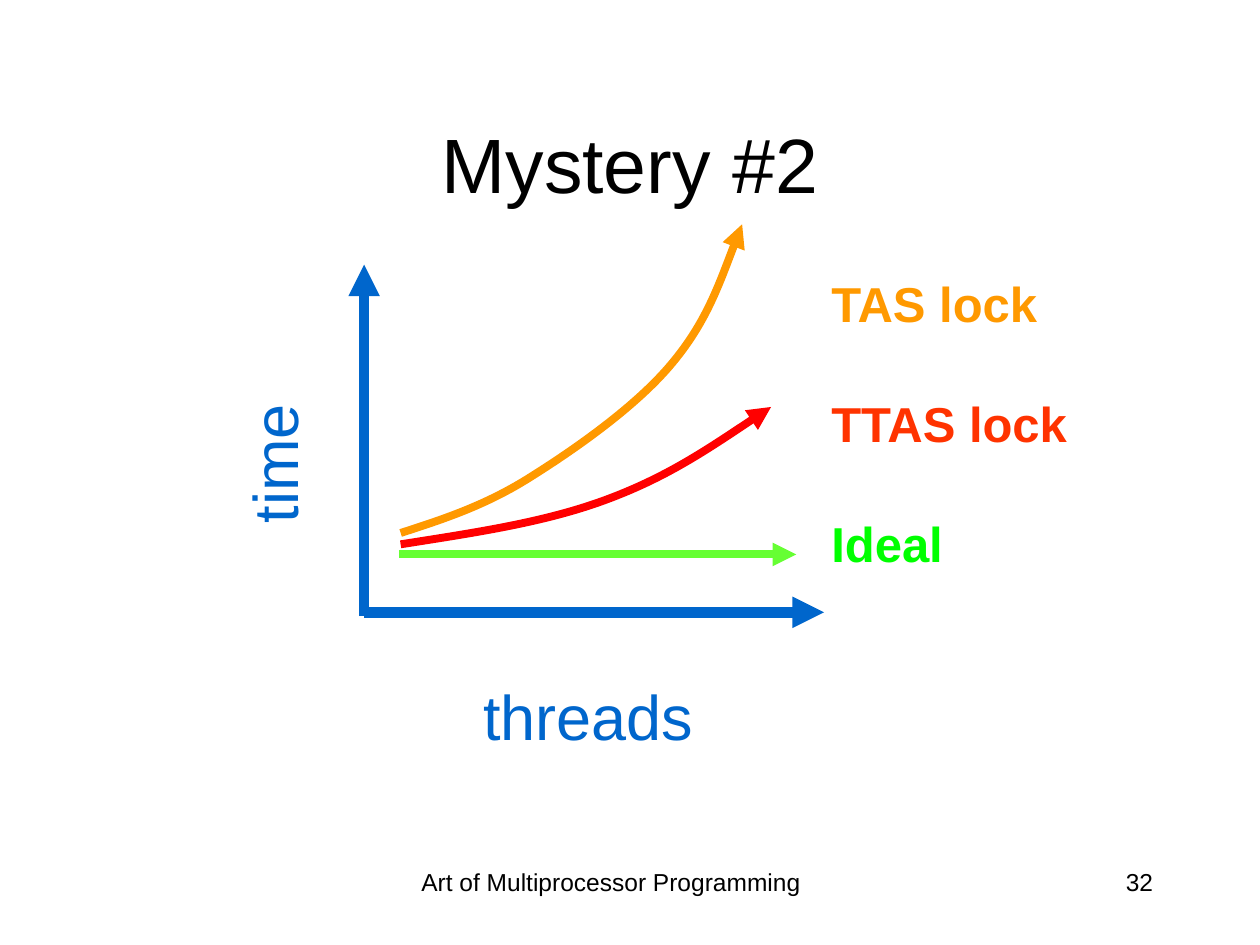
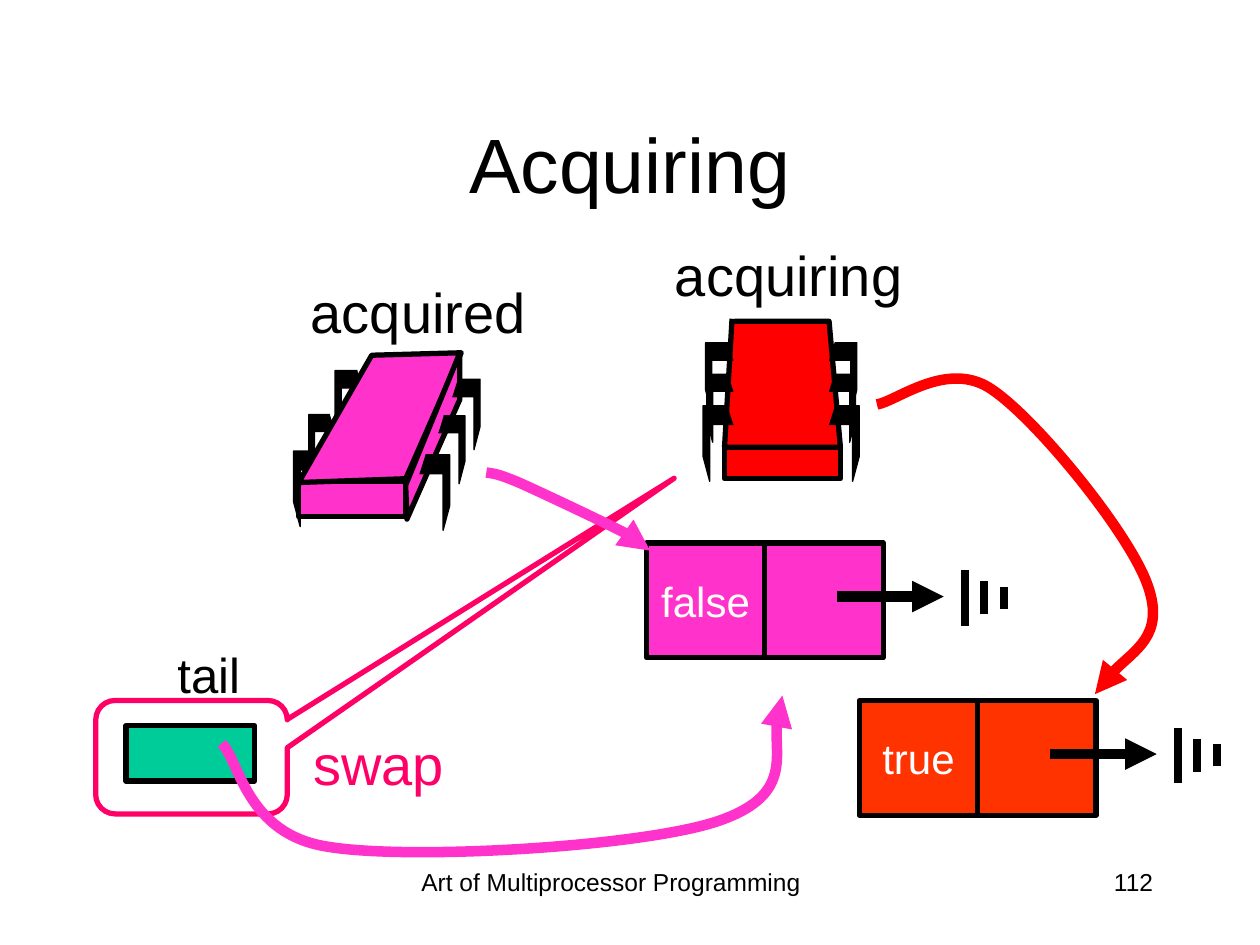
from dataclasses import dataclass
from typing import Any, NamedTuple

from lxml.etree import SubElement
from pptx import Presentation
from pptx.dml.color import RGBColor
from pptx.enum.shapes import MSO_CONNECTOR, MSO_SHAPE
from pptx.enum.text import MSO_ANCHOR, PP_ALIGN
from pptx.oxml.ns import qn
from pptx.util import Inches, Pt

BLACK = RGBColor(0x00, 0x00, 0x00)
WHITE = RGBColor(0xFF, 0xFF, 0xFF)
AXIS_BLUE = RGBColor(0x00, 0x66, 0xCC)
ORANGE = RGBColor(0xFF, 0x99, 0x00)
SCARLET = RGBColor(0xFF, 0x33, 0x00)
RED = RGBColor(0xFF, 0x00, 0x00)
BRIGHT_GREEN = RGBColor(0x00, 0xFF, 0x00)
LIME = RGBColor(0x66, 0xFF, 0x33)
TEAL = RGBColor(0x00, 0xCC, 0x99)
PINK = RGBColor(0xFF, 0x33, 0xCC)
ROSE = RGBColor(0xFF, 0x00, 0x66)

FONT = "Arial"
FOOTER = "Art of Multiprocessor Programming"
SLIDE_WIDTH, SLIDE_HEIGHT = Inches(10), Inches(7.5)
COLUMNS, ROWS = 100, 75
TITLE_ONLY = 5

Point = tuple[float, float]


class Area(NamedTuple):
    left: float
    top: float
    width: float
    height: float


class Leg(NamedTuple):
    area: Area
    mirrored: bool


@dataclass
class Label:
    area: Area
    lines: list[tuple[str, RGBColor]]
    size: float
    align: PP_ALIGN = PP_ALIGN.CENTER
    bold: bool = False
    gap: float = 0
    direction: str = "horz"


@dataclass
class Polygon:
    points: list[Point]
    fill: RGBColor
    weight: float = 3
    close: bool = True


@dataclass
class Curve:
    points: list[Point]
    color: RGBColor
    weight: float


@dataclass
class Thread:
    label: Label
    color: RGBColor
    front: Area
    back_legs: list[Leg]
    faces: list[Polygon]
    front_legs: list[Leg]


@dataclass
class QueueNode:
    left: float
    top: float
    text: str
    color: RGBColor


def col(value: float) -> int:
    return round(SLIDE_WIDTH * value / COLUMNS)


def row(value: float) -> int:
    return round(SLIDE_HEIGHT * value / ROWS)


def place(area: Area) -> tuple[int, int, int, int]:
    return col(area.left), row(area.top), col(area.width), row(area.height)


def apply(target: Any, **formats: Any) -> None:
    for name, value in formats.items():
        setattr(target, name, value)


def write(para: Any, text: str, color: RGBColor, size: float,
          align: PP_ALIGN = PP_ALIGN.CENTER, bold: bool = False) -> None:
    para.alignment = align
    span = para.add_run()
    span.text = text
    apply(span.font, name=FONT, size=Pt(size), bold=bold)
    span.font.color.rgb = color


def stroke(shape: Any, color: RGBColor, weight: float,
           rounded: bool = False, arrow: bool = False) -> None:
    shape.line.color.rgb = color
    shape.line.width = Pt(weight)
    outline = shape._element.spPr.find(qn("a:ln"))
    if rounded:
        SubElement(outline, qn("a:round"))
    if arrow:
        SubElement(outline, qn("a:tailEnd"), type="triangle")


def add_label(shapes: Any, label: Label) -> None:
    box = shapes.add_textbox(*place(label.area))
    frame = box.text_frame
    frame.word_wrap = True
    frame._txBody.bodyPr.set("vert", label.direction)
    for index, (text, color) in enumerate(label.lines):
        para = frame.add_paragraph() if index else frame.paragraphs[0]
        if index:
            para.space_before = Pt(label.gap)
        write(para, text, color, label.size, label.align, label.bold)


def add_line(shapes: Any, start: Point, end: Point, color: RGBColor,
             weight: float, arrow: bool = True) -> None:
    line = shapes.add_connector(MSO_CONNECTOR.STRAIGHT, col(start[0]), row(start[1]),
                                col(end[0]), row(end[1]))
    stroke(line, color, weight, arrow=arrow)
    SubElement(line._element.spPr, qn("a:effectLst"))


def add_box(shapes: Any, area: Area, fill: RGBColor, text: str = "") -> None:
    box = shapes.add_shape(MSO_SHAPE.RECTANGLE, *place(area))
    box.shadow.inherit = False
    box.fill.solid()
    box.fill.fore_color.rgb = fill
    stroke(box, BLACK, 3)
    if text:
        apply(box.text_frame, word_wrap=False, vertical_anchor=MSO_ANCHOR.MIDDLE)
        write(box.text_frame.paragraphs[0], text, WHITE, 24)


def build_outline(shapes: Any, points: list[Point], close: bool) -> Any:
    corners = [(col(x), row(y)) for x, y in points]
    builder = shapes.build_freeform(*corners[0])
    builder.add_line_segments(corners[1:], close=close)
    outline = builder.convert_to_shape()
    outline.shadow.inherit = False
    return outline


def add_polygon(shapes: Any, polygon: Polygon) -> None:
    shape = build_outline(shapes, polygon.points, polygon.close)
    shape.fill.solid()
    shape.fill.fore_color.rgb = polygon.fill
    stroke(shape, BLACK, polygon.weight, rounded=True)


def add_curve(shapes: Any, curve: Curve) -> None:
    shape = build_outline(shapes, curve.points, close=False)
    shape.fill.background()
    track = next(shape._element.iter(qn("a:path")))
    segments = track.findall(qn("a:lnTo"))
    for first in range(0, len(segments), 3):
        bezier = SubElement(track, qn("a:cubicBezTo"))
        for segment in segments[first:first + 3]:
            bezier.append(segment[0])
            track.remove(segment)
    stroke(shape, curve.color, curve.weight, rounded=True, arrow=True)


def add_leg(shapes: Any, leg: Leg) -> None:
    left, top, width, height = leg.area
    profile = [(0.8, 0), (0, 0), (0, 0.67), (0.22, 1), (0.22, 0.25), (1, 0.25)]
    points = [(left + width * (1 - x if leg.mirrored else x), top + height * y)
              for x, y in profile]
    add_polygon(shapes, Polygon(points, BLACK, 0.75, close=False))


def add_thread(page: Any, thread: Thread) -> None:
    shapes = page.shapes.add_group_shape().shapes
    add_box(shapes, thread.front, thread.color)
    for leg in thread.back_legs:
        add_leg(shapes, leg)
    for face in thread.faces:
        add_polygon(shapes, face)
    for leg in thread.front_legs:
        add_leg(shapes, leg)
    add_label(shapes, thread.label)


def add_node(page: Any, node: QueueNode) -> None:
    side, height = 9.4, 9.1
    for index, text in enumerate((node.text, "")):
        add_box(page.shapes, Area(node.left + index * side, node.top, side, height),
                node.color, text)
    middle = node.top + 4.25
    add_line(page.shapes, (node.left + 15.15, middle), (node.left + 23.6, middle), BLACK, 6)
    ground = page.shapes.add_group_shape().shapes
    for index, reach in enumerate((2.2, 1.32, 0.88)):
        x = node.left + 25.3 + index * 1.53
        add_line(ground, (x, middle + 0.1 - reach), (x, middle + 0.1 + reach),
                 BLACK, 4.5, arrow=False)


def add_page(deck: Any, title: str, number: str) -> Any:
    page = deck.slides.add_slide(deck.slide_layouts[TITLE_ONLY])
    left, top, width, height = place(Area(7.5, 6.7, 85, 12.5))
    heading = page.shapes.title
    apply(heading, left=left, top=top, width=width, height=height)
    heading.text_frame.vertical_anchor = MSO_ANCHOR.MIDDLE
    write(heading.text_frame.paragraphs[0], title, BLACK, 44)
    add_label(page.shapes, Label(Area(28.9, 68.3, 39.2, 5), [(FOOTER, BLACK)], 14))
    add_label(page.shapes, Label(Area(71.7, 68.3, 20.8, 5), [(number, BLACK)], 14,
                                 PP_ALIGN.RIGHT))
    return page


def build_mystery(deck: Any) -> None:
    page = add_page(deck, "Mystery #2", "32")
    add_line(page.shapes, (28.9, 48.9), (28.9, 21), AXIS_BLUE, 6)
    add_line(page.shapes, (28.9, 48.6), (65.4, 48.6), AXIS_BLUE, 6)
    legend = [("TAS lock", ORANGE), ("TTAS lock", SCARLET), ("Ideal", BRIGHT_GREEN)]
    for label in (
        Label(Area(65, 21.2, 23, 25), legend, 28, PP_ALIGN.LEFT, True, 35),
        Label(Area(18.2, 30.7, 8, 12.2), [("time", AXIS_BLUE)], 36, direction="vert270"),
        Label(Area(36.7, 53.3, 20, 7), [("threads", AXIS_BLUE)], 36),
    ):
        add_label(page.shapes, label)
    add_line(page.shapes, (31.7, 44), (63.2, 44), LIME, 4.5)
    for curve in (
        Curve([(31.8, 42.3), (35.2, 41.2), (38.6, 40.1), (42.2, 37.8), (45.7, 35.6),
               (50.4, 32.3), (53.2, 29), (56, 25.7), (57.4, 21.7), (58.9, 17.8)], ORANGE, 4.5),
        Curve([(31.8, 43.2), (37.5, 42.3), (43.1, 41.5), (48, 39.7), (52.9, 37.9),
               (57, 35.1), (61.2, 32.3)], RED, 4.5),
    ):
        add_curve(page.shapes, curve)


def build_acquiring(deck: Any) -> None:
    page = add_page(deck, "Acquiring", "112")
    add_box(page.shapes, Area(10, 57.6, 10.2, 4.4), TEAL)
    add_label(page.shapes, Label(Area(13.1, 50.7, 9.1, 5.7), [("tail", BLACK)], 28,
                                 PP_ALIGN.LEFT))
    add_node(page, QueueNode(51.3, 43.1, "false", PINK))

    leg_sizes = [(2.4, 6), (2.1, 5.4), (2.2, 5.6)]

    def legs(corners: list[Point], mirrored: bool) -> list[Leg]:
        return [Leg(Area(*corner, *size), mirrored)
                for corner, size in zip(corners, leg_sizes)]

    add_thread(page, Thread(
        Label(Area(21.7, 21.5, 23, 6.4), [("acquired", BLACK)], 32), PINK,
        Area(23.7, 38.2, 8.5, 2.8),
        legs([(23.3, 35.8), (24.5, 32.9), (26.6, 29.4)], False),
        [Polygon([(23.7, 38.3), (32.2, 38), (36.6, 28), (29.5, 28.2)], PINK),
         Polygon([(36.5, 28), (36.5, 31.7), (32.3, 41.2), (32.2, 38.5)], PINK)],
        legs([(33.3, 36.1), (34.8, 33), (35.9, 30.1)], True)))
    leg_tops = (32.2, 29.7, 27.2)
    add_thread(page, Thread(
        Label(Area(50.1, 18.6, 25, 6.4), [("acquiring", BLACK)], 32), RED,
        Area(57.5, 35.5, 9.2, 2.5), [],
        [Polygon([(58.3, 25.5), (65.8, 25.5), (66.7, 35.5), (57.5, 35.5), (58.1, 25.3)],
                 RED, close=False)],
        legs([(65.8, top) for top in leg_tops], True)
        + legs(list(zip((55.8, 56.1, 56), leg_tops)), False)))
    add_node(page, QueueNode(68.2, 55.6, "true", SCARLET))

    callout = page.shapes.add_shape(MSO_SHAPE.ROUNDED_RECTANGULAR_CALLOUT,
                                    *place(Area(7.6, 55.6, 15.2, 9)))
    for index, value in enumerate((2.52, -2.46, 0.17)):
        callout.adjustments[index] = value
    callout.shadow.inherit = False
    callout.fill.background()
    stroke(callout, ROSE, 3)
    add_label(page.shapes, Label(Area(18.1, 57.4, 23.9, 6.4), [("swap", ROSE)], 32))
    for curve in (
        Curve([(17.6, 59), (19, 60.3), (19.5, 66.2), (26, 67.2), (32.6, 68.3),
               (50.9, 67.2), (56.9, 65.2), (62.9, 63.2), (61, 57.3), (62.1, 55.2)], PINK, 6),
        Curve([(69.6, 32.1), (71.1, 31.9), (75.2, 28.5), (78.7, 30.9), (82.3, 33.3),
               (89.7, 42.4), (91.1, 46.5), (92.5, 50.5), (87.8, 53.3), (86.9, 55.1)], RED, 6),
        Curve([(38.6, 37.5), (39.1, 37.6), (39.3, 37.5), (41.2, 38.3), (43.2, 39.2),
               (48.5, 41.7), (50.2, 42.6), (52, 43.5), (51.3, 43.4), (51.6, 43.7)], PINK, 6),
    ):
        add_curve(page.shapes, curve)


def main() -> None:
    deck = Presentation()
    apply(deck, slide_width=SLIDE_WIDTH, slide_height=SLIDE_HEIGHT)
    build_mystery(deck)
    build_acquiring(deck)
    deck.save("out.pptx")


if __name__ == "__main__":
    main()
